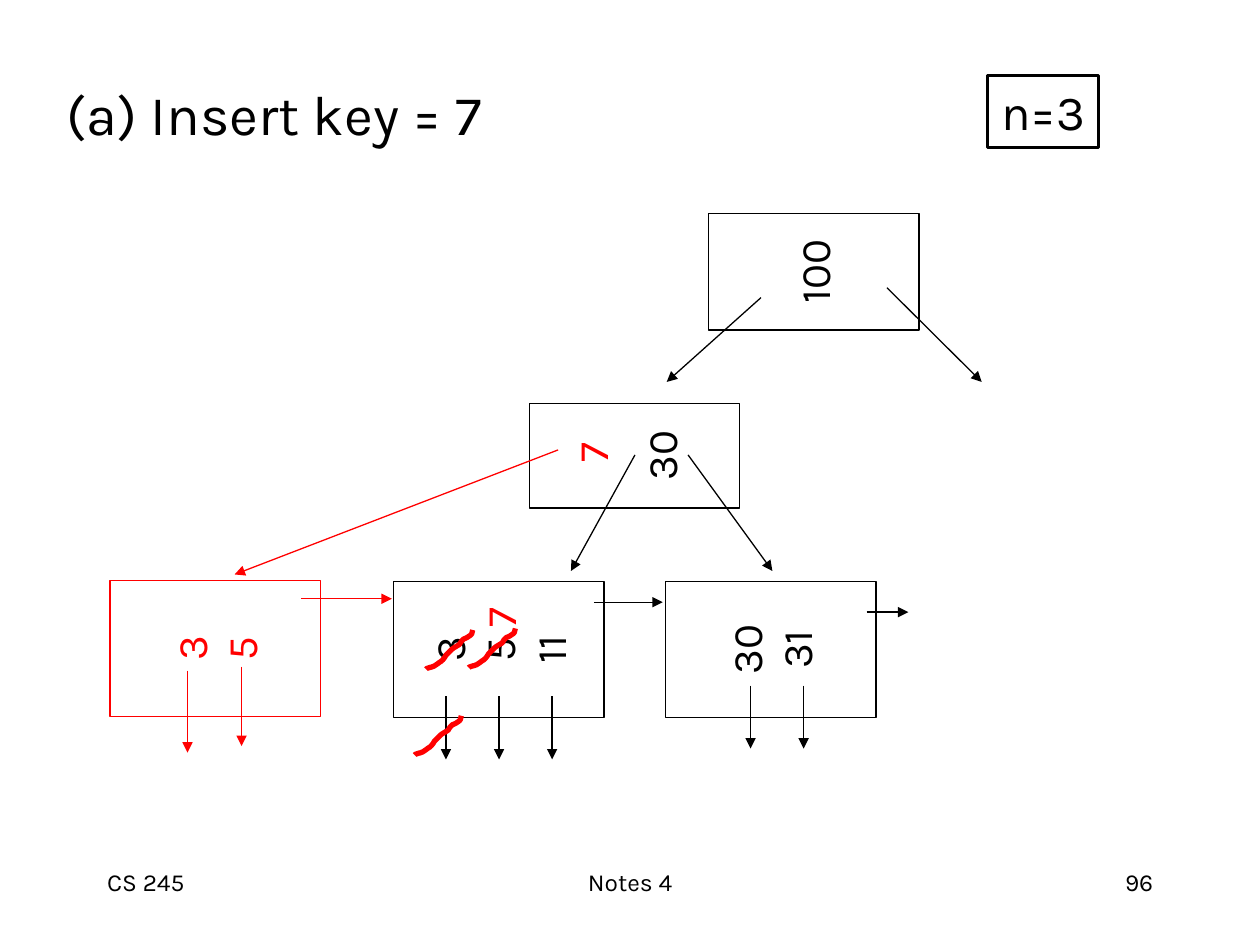
from pptx import Presentation
from pptx.dml.color import RGBColor
from pptx.enum.shapes import MSO_CONNECTOR, MSO_SHAPE
from pptx.enum.text import MSO_ANCHOR, PP_ALIGN
from pptx.oxml.ns import qn
from pptx.util import Cm, Pt
from lxml.etree import SubElement

BLACK, RED, WHITE = "000000", "FF0000", "FFFFFF"
WIDE = 4.24
CURVE = [(0, 79), (3, 76), (8, 76), (13, 74), (20, 71), (33, 61), (33, 61), (43, 46),
         (51, 38), (66, 30), (69, 28), (69, 25), (74, 20), (79, 15), (94, 13), (94, 0)]


def paint(color, ink):
    if hasattr(color, "solid"):
        color.solid()
        color = color.fore_color
    color.rgb = RGBColor.from_string(ink)


def style(para, size, ink=BLACK, align=PP_ALIGN.LEFT):
    para.alignment = align
    para.space_before = Pt(0)
    para.font.size = Pt(size)
    para.font.name = "Karla"
    paint(para.font.color, ink)


def write(frame, lines, size, ink=BLACK, align=PP_ALIGN.CENTER):
    frame.text = "\n".join(lines)
    for para in frame.paragraphs:
        style(para, size, ink, align)


def frame_box(slide, box, ink, width):
    shape = slide.shapes.add_shape(MSO_SHAPE.RECTANGLE, *map(Cm, box))
    shape.shadow.inherit = False
    paint(shape.fill, WHITE)
    paint(shape.line.color, ink)
    shape.line.width = Pt(width)
    shape.text_frame.word_wrap = False
    shape.text_frame.vertical_anchor = MSO_ANCHOR.MIDDLE
    return shape


def turn(box):
    x, y, w, h = box
    return x + (w - h) / 2, y + (h - w) / 2, h, w


def arrow(slide, box, start, end, ink=BLACK):
    x, y = box[:2]
    line = slide.shapes.add_connector(
        MSO_CONNECTOR.STRAIGHT, Cm(x + start[0]), Cm(y + start[1]),
        Cm(x + end[0]), Cm(y + end[1]))
    paint(line.line.color, ink)
    line.line.width = Pt(0.75)
    SubElement(line.line._get_or_add_ln(), qn("a:tailEnd"), type="triangle")
    SubElement(line._element.spPr, qn("a:effectLst"))


def node(slide, box, keys, ink=BLACK, lead=0):
    shape = frame_box(slide, turn(box), ink, 0.75)
    shape.rotation = 270
    shape.text_frame.margin_top = Cm(0.13 + lead)
    write(shape.text_frame, keys, 24, ink)


def leaf(slide, box, keys, drops, link, ink=BLACK):
    node(slide, box, keys, ink)
    for x, top, end in drops:
        arrow(slide, box, (x, top), (x, end), ink)
    start, end, y = link
    arrow(slide, box, (start, y), (end, y), ink)


def label(slide, box, x, y, text):
    spot = turn((box[0] + x, box[1] + y, 1.27, 0.99))
    shape = slide.shapes.add_textbox(*map(Cm, spot))
    shape.rotation = 270
    frame = shape.text_frame
    frame.word_wrap = False
    frame.vertical_anchor = MSO_ANCHOR.MIDDLE
    write(frame, [text], 24, RED)


def bend(points, steps=8):
    for i in range(0, len(points) - 1, 3):
        for k in range(1, steps + 1):
            t = k / steps
            mix = ((1 - t) ** 3, 3 * t * (1 - t) ** 2, 3 * t * t * (1 - t), t ** 3)
            yield tuple(sum(m * p[axis] for m, p in zip(mix, points[i:i + 4]))
                        for axis in (0, 1))


def strike(slide, box, x, y):
    pen = slide.shapes.build_freeform(*CURVE[0], scale=Cm(0.01))
    pen.add_line_segments(list(bend(CURVE)), close=False)
    shape = pen.convert_to_shape(Cm(box[0] + x), Cm(box[1] + y))
    shape.shadow.inherit = False
    shape.fill.background()
    paint(shape.line.color, RED)
    shape.line.width = Pt(3)


def heading(slide, box):
    body = slide.placeholders[1]
    body.left, body.top, body.width, body.height = map(Cm, box)
    body.text_frame.text = "(a) Insert key = 7"
    para = body.text_frame.paragraphs[0]
    props = para._p.get_or_add_pPr()
    props.set("marL", "0")
    props.set("indent", "0")
    SubElement(props, qn("a:buNone"))
    style(para, 32)
    title = slide.shapes.title._element
    title.getparent().remove(title)


def footer(slide, box):
    x, y, w, h = box
    parts = [("CS 245", 0, 5.28, PP_ALIGN.LEFT),
             ("Notes 4", (w - 8.05) / 2, 8.05, PP_ALIGN.CENTER),
             ("96", w - 5.28, 5.28, PP_ALIGN.RIGHT)]
    for text, left, width, align in parts:
        shape = slide.shapes.add_textbox(Cm(x + left), Cm(y), Cm(width), Cm(h))
        shape.text_frame.word_wrap = True
        write(shape.text_frame, [text], 14, BLACK, align)


def leaves(slide, x, y):
    old = (x, y, WIDE, 2.74)
    leaf(slide, old, ["3", "5", "11"],
         [(1.05 + 1.07 * i, 2.32, 3.59) for i in range(3)], (4.03, 5.42, 0.42))
    leaf(slide, (x + 5.48, y, WIDE, 2.74), ["30", "31"],
         [(1.71, 2.1, 3.37), (2.78, 2.1, 3.37)], (4.05, 4.89, 0.62))
    leaf(slide, (x - 5.72, y - 0.02, WIDE, 2.74), ["3", "5"],
         [(1.56, 1.82, 3.47), (2.65, 1.74, 3.34)], (3.85, 5.68, 0.37), RED)
    label(slide, old, 1.5, 0.23, "7")
    for spot in [(0.65, 0.98), (1.51, 0.95), (0.42, 2.71)]:
        strike(slide, old, *spot)


def parent(slide, box):
    node(slide, box, ["30"], lead=1.07)
    arrow(slide, box, (2.13, 1.04), (0.84, 3.38))
    arrow(slide, box, (3.2, 1.04), (4.9, 3.38))
    label(slide, box, 0.62, 0.5, "7")
    arrow(slide, box, (0.58, 0.94), (-5.94, 3.45), RED)


def root(slide, box):
    node(slide, box, ["100"])
    arrow(slide, box, (1.05, 1.69), (-0.85, 3.39))
    arrow(slide, box, (3.59, 1.49), (5.5, 3.39))


def main():
    deck = Presentation()
    deck.slide_width, deck.slide_height = Cm(25.4), Cm(19.05)
    slide = deck.slides.add_slide(deck.slide_layouts[1])
    heading(slide, (1.09, 1.47, 21.59, 1.65))
    order = frame_box(slide, (19.91, 1.52, 2.24, 1.45), BLACK, 1.5)
    write(order.text_frame, ["n=3"], 28)
    leaves(slide, 7.94, 11.72)
    parent(slide, (10.67, 8.13, WIDE, 2.11))
    root(slide, (14.29, 4.31, WIDE, 2.34))
    footer(slide, (1.91, 17.35, 21.59, 1.27))
    deck.save("out.pptx")


if __name__ == "__main__":
    main()
